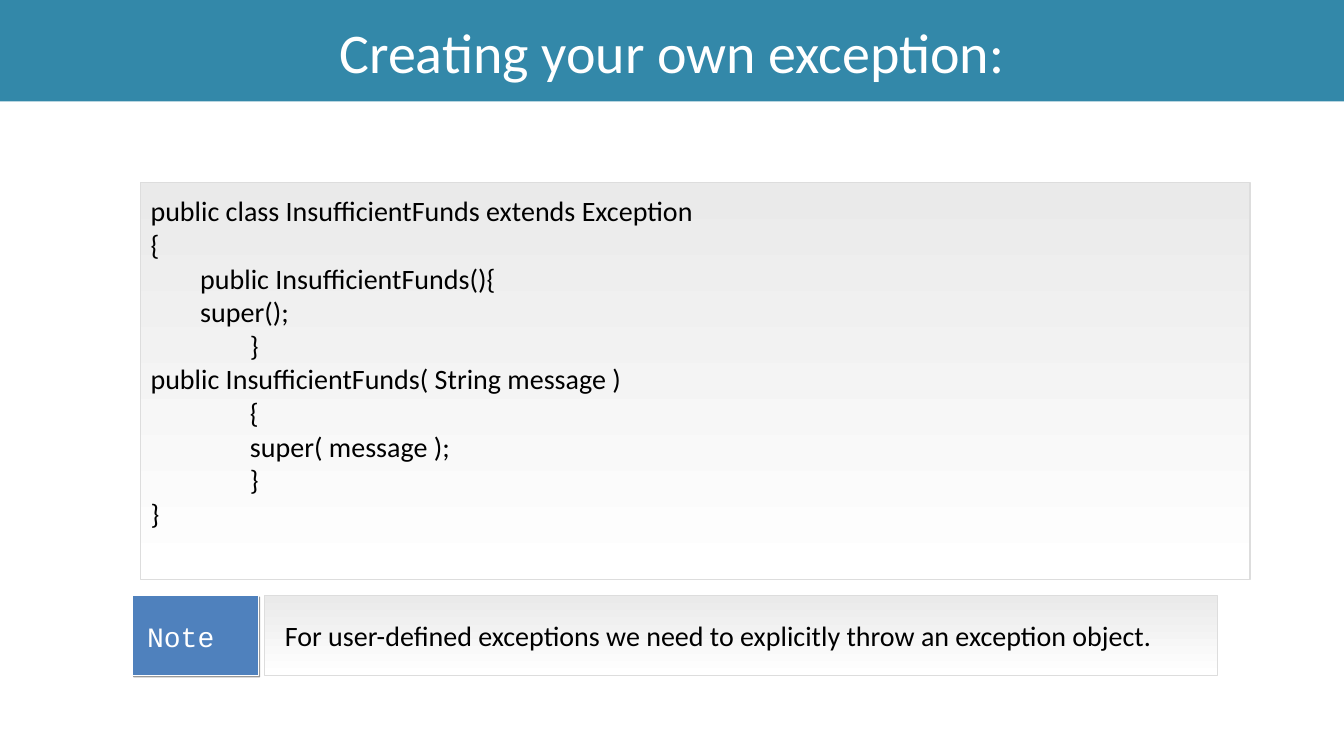
from lxml.etree import SubElement
from pptx import Presentation
from pptx.dml.color import RGBColor
from pptx.enum.shapes import MSO_SHAPE
from pptx.enum.text import MSO_ANCHOR, MSO_AUTO_SIZE, PP_ALIGN
from pptx.oxml.ns import qn
from pptx.util import Pt

BLACK = RGBColor(0x00, 0x00, 0x00)
WHITE = RGBColor(0xFF, 0xFF, 0xFF)
TEAL = RGBColor(0x33, 0x88, 0xA9)
BLUE = RGBColor(0x4F, 0x81, 0xBD)
PALE_GREY = RGBColor(0xEA, 0xEA, 0xEA)
BORDER_GREY = RGBColor(0xDD, 0xDD, 0xDD)

TAB_WIDTH = 35.5
NOTE_TOP, NOTE_HEIGHT = 425.5, 57

# Each line of code with its indent level
CODE_LINES = [
    ("public class InsufficientFunds extends Exception", 0),
    ("{", 0),
    ("public InsufficientFunds(){", 1),
    ("super();", 1),
    ("}", 2),
    ("public InsufficientFunds( String message )", 0),
    ("{", 2),
    ("super( message );", 2),
    ("}", 2),
    ("}", 0),
]


def write_text(shape, lines, font="Calibri", size=20, color=BLACK, align=PP_ALIGN.LEFT,
               anchor=MSO_ANCHOR.MIDDLE, insets=(0, 0, 0, 0), wrap=True):
    """Fill a shape with (text, indent level) lines; insets are left, top, right, bottom."""
    frame = shape.text_frame
    frame.word_wrap = wrap
    frame.auto_size = MSO_AUTO_SIZE.NONE
    frame.vertical_anchor = anchor
    (frame.margin_left, frame.margin_top,
     frame.margin_right, frame.margin_bottom) = map(Pt, insets)
    for index, (text, level) in enumerate(lines):
        para = frame.add_paragraph() if index else frame.paragraphs[0]
        para.alignment = align
        if level:
            properties = para._p.get_or_add_pPr()
            properties.set("marL", str(Pt(level * TAB_WIDTH)))
            properties.set("indent", "0")
        span = para.add_run()
        span.text = text
        span.font.name = font
        span.font.size = Pt(size)
        span.font.color.rgb = color


def add_rectangle(shapes, left, top, width, height, line_color, line_width):
    box = shapes.add_shape(MSO_SHAPE.RECTANGLE, Pt(left), Pt(top), Pt(width), Pt(height))
    box.shadow.inherit = False
    box.line.color.rgb = line_color
    box.line.width = Pt(line_width)
    return box


def add_gradient_panel(page, left, top, width, height):
    panel = add_rectangle(page.shapes, left, top, width, height, BORDER_GREY, 1)
    panel.fill.gradient()
    panel.fill.gradient_angle = 270
    for stop, color in zip(panel.fill.gradient_stops, (PALE_GREY, WHITE)):
        stop.color.rgb = color
    return panel


def add_drop_shadow(shape):
    effects = shape._element.spPr.find(qn("a:effectLst"))
    shadow = SubElement(effects, qn("a:outerShdw"), blurRad="0", dist=str(Pt(1.4)),
                        dir="2700000", algn="ctr", rotWithShape="0")
    color = SubElement(shadow, qn("a:srgbClr"), val=str(BLACK))
    SubElement(color, qn("a:alpha"), val="40000")


def add_note_label(page):
    group = page.shapes.add_group_shape()
    box = add_rectangle(group.shapes, 94.5, NOTE_TOP, 90, NOTE_HEIGHT, WHITE, 0.75)
    box.fill.solid()
    box.fill.fore_color.rgb = BLUE
    add_drop_shadow(box)
    label = group.shapes.add_textbox(Pt(98), Pt(439), Pt(62.5), Pt(31.5))
    write_text(label, [("Note", 0)], font="Courier New", color=WHITE,
               anchor=MSO_ANCHOR.TOP, insets=(7.2, 3.6, 7.2, 3.6), wrap=False)


def format_title(page, text, width):
    title = page.shapes.title
    title.left, title.top, title.width, title.height = Pt(0), Pt(0), width, Pt(72.5)
    title.fill.solid()
    title.fill.fore_color.rgb = TEAL
    write_text(title, [(text, 0)], size=40, color=WHITE, align=PP_ALIGN.CENTER)


def main():
    deck = Presentation()
    deck.slide_width, deck.slide_height = Pt(960), Pt(540)
    page = deck.slides.add_slide(deck.slide_layouts[5])

    format_title(page, "Creating your own exception:", deck.slide_width)
    code_panel = add_gradient_panel(page, 100.5, 130.5, 792.5, 283.5)
    write_text(code_panel, CODE_LINES, anchor=MSO_ANCHOR.TOP, insets=(7.2, 8, 7.2, 7.2))
    note_panel = add_gradient_panel(page, 189, NOTE_TOP, 680.5, NOTE_HEIGHT)
    note = "For user-defined exceptions we need to explicitly throw an exception object."
    write_text(note_panel, [(note, 0)], insets=(14.4, 0, 0, 0))
    add_note_label(page)

    deck.save("out.pptx")


if __name__ == "__main__":
    main()
